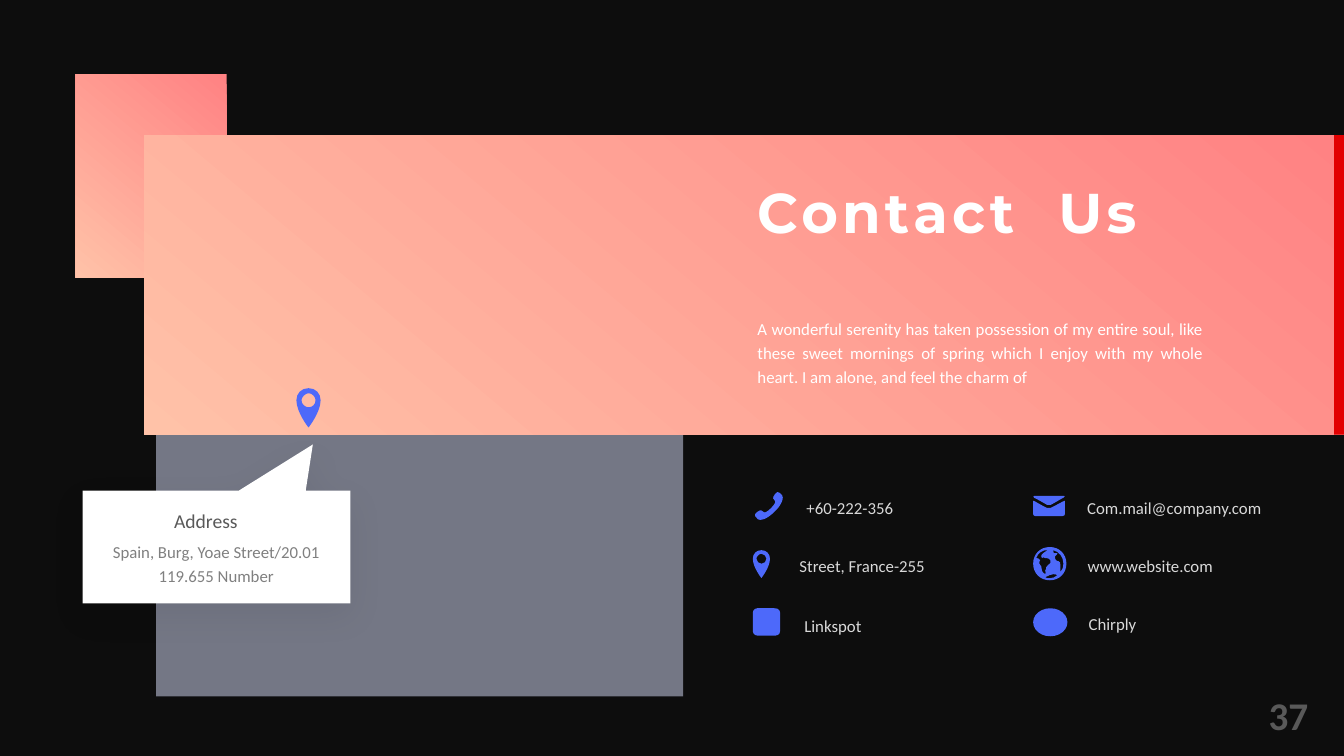
from dataclasses import dataclass

from lxml.etree import SubElement
from pptx import Presentation
from pptx.dml.color import RGBColor
from pptx.enum.shapes import MSO_SHAPE
from pptx.enum.text import MSO_ANCHOR, PP_ALIGN
from pptx.oxml.ns import qn
from pptx.shapes.autoshape import Shape
from pptx.slide import Slide
from pptx.util import Pt

COLORS = {
    "night": "0D0D0D", "coral": "FF8283", "peach": "FFC2A8", "mist": "DBE1FE",
    "red": "E20001", "blue": "4D69FA", "white": "FFFFFF", "silver": "D9D9D9",
    "gray": "808080", "slate": "595959", "black": "000000",
}
Contour = list[tuple[float, ...]]

PIN: list[Contour] = [
    [(12, 0), (5, 0, 0, 5, 0, 12), (0, 24, 12, 39, 12, 39),
     (12, 39, 24, 24, 24, 12), (24, 5, 19, 0, 12, 0)],
    [(12, 19), (9, 19, 5, 16, 5, 12), (5, 9, 9, 5, 12, 5),
     (16, 5, 19, 9, 19, 12), (19, 16, 16, 19, 12, 19)],
]
HANDSET: list[Contour] = [
    [(18, 18), (15, 21, 12, 23, 11, 22), (9, 20, 8, 19, 4, 22), (0, 25, 3, 27, 5, 29),
     (7, 31, 14, 29, 21, 22), (29, 15, 31, 7, 29, 5), (27, 3, 25, 0, 22, 4),
     (19, 8, 20, 9, 22, 11), (23, 12, 21, 15, 18, 18)],
]
ENVELOPE: list[Contour] = [
    [(1, 2), (2, 2, 14, 9, 14, 9), (15, 9.5, 16, 9.5, 17, 9), (18, 9, 29, 2, 30, 2),
     (31, 1, 32, 0, 31, 0), (1, 0), (0, 0, 0, 1, 1, 2)],
    [(31, 5), (30, 5, 18, 12, 17, 12), (16, 12.5, 15, 12.5, 14, 12), (13, 12, 1, 5, 1, 5),
     (0, 5, 0, 5, 0, 5), (0, 18), (0, 19, 1, 20, 2, 20), (29, 20), (31, 20, 31.5, 19, 31.5, 18),
     (31.5, 5)],
]
GLOBE: list[Contour] = [
    [(16.5, 0), (7, 0, 0, 7, 0, 16.5), (0, 26, 7, 33, 16.5, 33),
     (26, 33, 33, 26, 33, 16.5), (33, 7, 26, 0, 16.5, 0)],
    [(30, 16), (30, 20, 29, 23, 27, 25), (27, 25, 26, 24, 27, 23), (27, 21, 27, 19, 27, 18),
     (27, 16, 27, 14, 25, 14), (24, 14, 23, 14, 22, 12), (20, 8, 25, 8, 24, 6),
     (23, 5, 20, 8, 20, 4), (20, 3), (26, 5, 30, 10, 30, 16)],
    [(14, 3), (14, 3, 13, 3, 13, 4), (11, 5, 11, 5, 10, 6), (9, 7, 8, 8, 8, 9),
     (8, 10, 9, 11, 9, 11), (9, 10, 11, 10, 12, 11), (13, 11, 19, 11, 17, 16),
     (16, 18, 13, 18, 13, 20), (13, 21, 13, 23, 12, 23), (12, 24, 13, 27, 12, 27),
     (11, 27, 9, 24, 9, 24), (9, 23, 8, 21, 8, 19), (8, 18, 6, 18, 6, 16),
     (6, 14, 7, 13, 7, 13), (6, 11, 4, 11, 3, 11), (5, 6, 9, 3, 14, 3)],
    [(12, 30), (13, 29, 13, 29, 14, 29), (14, 29, 15, 29, 16, 28), (17, 28, 19, 27, 20, 27),
     (21, 27, 24, 27, 24, 28), (22, 30, 19, 31, 16, 31), (15, 31, 13, 31, 12, 30)],
]


@dataclass
class Icon:
    contours: list[Contour]
    left: float
    top: float
    scale: float = 0.72


@dataclass
class Panel:
    left: float
    top: float
    width: float
    height: float
    color: str
    alpha: int = 100
    end_color: str = ""
    kind: MSO_SHAPE = MSO_SHAPE.RECTANGLE


@dataclass
class Label:
    text: str
    left: float
    top: float
    width: float = 143.5
    height: float = 24
    color: str = "silver"
    size: float = 12
    font: str = "Calibri"
    bold: bool = False
    align: PP_ALIGN = PP_ALIGN.LEFT
    line_spacing: float = 1.2
    backing: str = ""
    wrap: bool = True


def rgb(name: str) -> RGBColor:
    return RGBColor.from_string(COLORS[name])


def draw_icon(slide: Slide, icon: Icon) -> None:
    unit = icon.scale * 100
    outlines = [[tuple(value * unit for value in segment) for segment in contour]
                for contour in icon.contours]
    ends = [segment[-2:] for outline in outlines for segment in outline]
    min_x, min_y = min(x for x, _ in ends), min(y for _, y in ends)
    builder = slide.shapes.build_freeform(*outlines[0][0], scale=Pt(1) / 100)
    for index, outline in enumerate(outlines):
        if index:
            builder.move_to(*outline[0])
        builder.add_line_segments([segment[-2:] for segment in outline[1:]], close=True)
    symbol = builder.convert_to_shape(Pt(icon.left), Pt(icon.top))
    symbol.shadow.inherit = False
    symbol.fill.solid()
    symbol.fill.fore_color.rgb = rgb("blue")
    symbol.line.fill.background()
    segments = [segment for outline in outlines for segment in outline[1:]]
    for line, segment in zip(list(symbol._element.iter(qn("a:lnTo"))), segments):
        if len(segment) == 6:
            line.tag = qn("a:cubicBezTo")
            for position, (x, y) in enumerate((segment[:2], segment[2:4])):
                handle = SubElement(line, qn("a:pt"), x=str(round(x - min_x)),
                                    y=str(round(y - min_y)))
                line.insert(position, handle)


def draw_panel(slide: Slide, panel: Panel) -> Shape:
    area = slide.shapes.add_shape(panel.kind, Pt(panel.left), Pt(panel.top),
                                  Pt(panel.width), Pt(panel.height))
    area.shadow.inherit = False
    area.line.fill.background()
    if panel.end_color:
        area.fill.gradient()
        area.fill.gradient_angle = 230
        for stop, name in zip(area.fill.gradient_stops, (panel.color, panel.end_color)):
            stop.color.rgb = rgb(name)
        return area
    area.fill.solid()
    area.fill.fore_color.rgb = rgb(panel.color)
    if panel.alpha < 100:
        tint = area._element.spPr.find(qn("a:solidFill"))[0]
        SubElement(tint, qn("a:alpha"), val=str(panel.alpha * 1000))
    return area


def draw_callout(slide: Slide) -> None:
    callout = draw_panel(slide, Panel(59, 350.5, 191.25, 80.5, "white",
                                      kind=MSO_SHAPE.RECTANGULAR_CALLOUT))
    callout.adjustments[0], callout.adjustments[1] = 0.36, -0.91
    effects = callout._element.spPr.find(qn("a:effectLst"))
    glow = SubElement(effects, qn("a:outerShdw"), blurRad=str(Pt(25)), dist=str(Pt(9)),
                      dir="5400000", algn="t", rotWithShape="0")
    shade = SubElement(glow, qn("a:srgbClr"), val=COLORS["black"])
    SubElement(shade, qn("a:alpha"), val="5000")


def draw_label(slide: Slide, label: Label) -> Shape:
    if label.backing:
        box = draw_panel(slide, Panel(label.left, label.top, label.width, label.height,
                                      label.backing))
        box.text_frame.vertical_anchor = MSO_ANCHOR.TOP
    else:
        box = slide.shapes.add_textbox(Pt(label.left), Pt(label.top),
                                       Pt(label.width), Pt(label.height))
    box.text_frame.word_wrap = label.wrap
    paragraph = box.text_frame.paragraphs[0]
    paragraph.text = label.text
    paragraph.alignment = label.align
    paragraph.line_spacing = label.line_spacing
    for run in paragraph.runs:
        style_run(run, label)
    return box


def style_run(run, label: Label) -> None:
    run.font.name = label.font
    run.font.size = Pt(label.size)
    run.font.bold = label.bold
    run.font.color.rgb = rgb(label.color)


def draw_title(slide: Slide) -> None:
    heading = Label("Contact", 533.75, 128.5, 317, 51, "white", 40, "Montserrat", True,
                    line_spacing=0.9)
    paragraph = draw_label(slide, heading).text_frame.paragraphs[0]
    for word in (" ", "Us"):
        run = paragraph.add_run()
        run.text = word
        style_run(run, heading)
    for run, spacing in zip(paragraph.runs, (300, 1700, 300)):
        run._r.get_or_add_rPr().set("spc", str(spacing))


PANELS = [
    Panel(54, 53, 108, 145, "coral", end_color="peach"),
    Panel(111.5, 108, 376.5, 389.5, "mist", alpha=50),
    Panel(103, 96.5, 857, 214, "coral", end_color="peach"),
    Panel(953, 96.5, 7, 214, "red"),
    Panel(537.75, 434.5, 19.5, 19.5, "blue", kind=MSO_SHAPE.ROUNDED_RECTANGLE),
    Panel(738, 434.5, 24.5, 20, "blue", kind=MSO_SHAPE.OVAL),
]
ICONS = [
    Icon(HANDSET, 537.75, 350),
    Icon(PIN, 537.75, 393, 0.51),
    Icon(ENVELOPE, 738, 354.25),
    Icon(GLOBE, 738, 390.75),
    Icon(PIN, 211.75, 277.25),
]
LABELS = [
    Label("+60-222-356", 569, 349),
    Label("Street, France-255", 564, 390.75),
    Label("Linkspot", 567.5, 433.5),
    Label("Com.mail@company.com", 769.5, 349),
    Label("www.website.com", 769.75, 390.75),
    Label("Chirply", 770.5, 432),
    Label("A wonderful serenity has taken possession of my entire soul, like these sweet mornings "
          "of spring which I enjoy with my whole heart. I am alone, and feel the charm of",
          534, 221, 332.5, 58, "white", align=PP_ALIGN.JUSTIFY),
    Label("Spain, Burg, Yoae Street/20.01\n119.655 Number", 70.5, 380.5, 168, 41, "gray",
          align=PP_ALIGN.CENTER, backing="white"),
    Label("Address", 117.25, 360, 60.5, 24.5, "slate", 14, line_spacing=1, backing="white",
          wrap=False),
    Label("37", 826.5, 490.5, 115, 41, "slate", 28, bold=True, align=PP_ALIGN.RIGHT,
          line_spacing=1),
]


def main() -> None:
    deck = Presentation()
    deck.slide_width, deck.slide_height = Pt(960), Pt(540)
    slide = deck.slides.add_slide(deck.slide_layouts[6])
    slide.background.fill.solid()
    slide.background.fill.fore_color.rgb = rgb("night")
    for panel in PANELS:
        draw_panel(slide, panel)
    for icon in ICONS:
        draw_icon(slide, icon)
    draw_callout(slide)
    draw_title(slide)
    for label in LABELS:
        draw_label(slide, label)
    deck.save("out.pptx")


if __name__ == "__main__":
    main()
